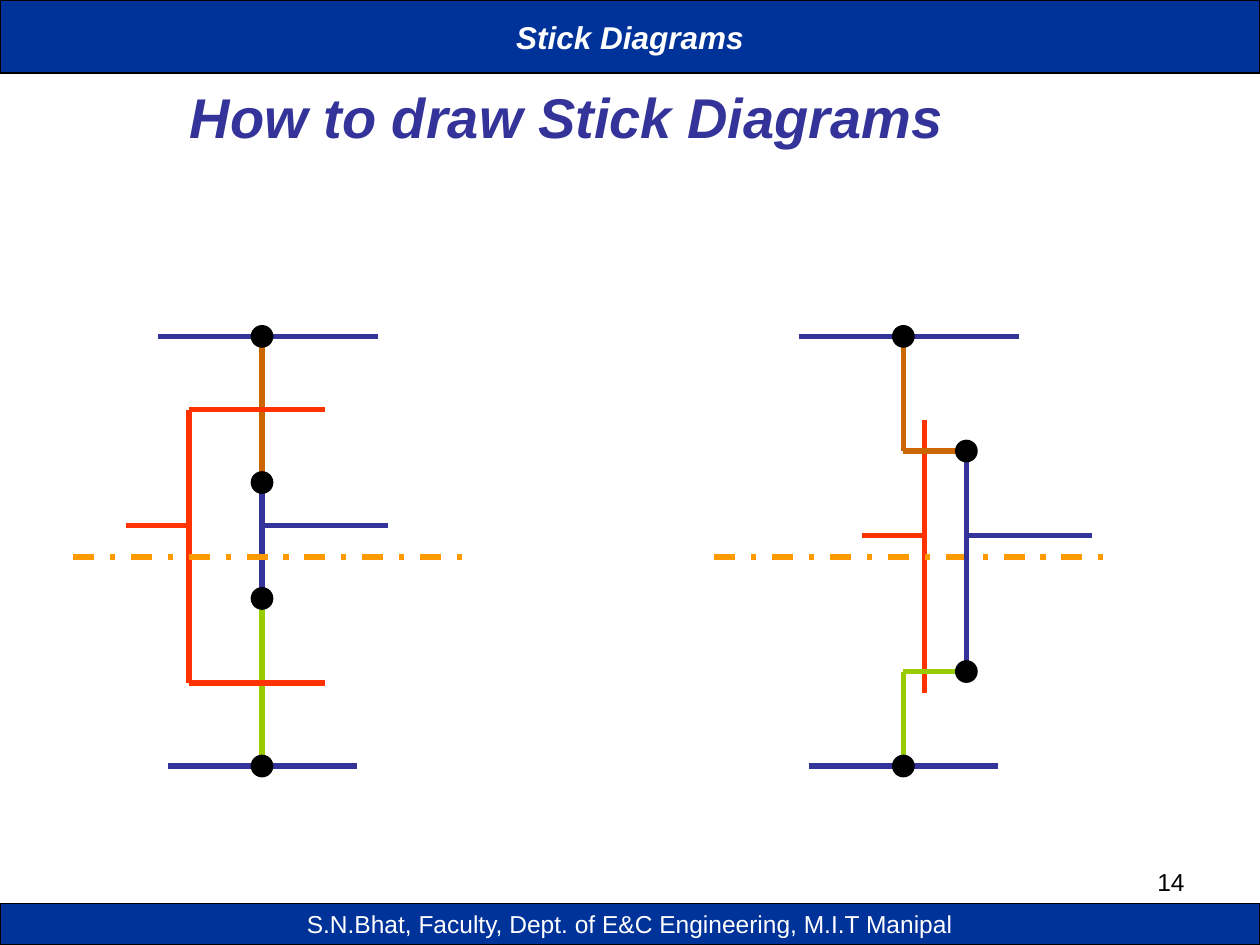
"""Build the stick diagram slide."""
from pptx import Presentation
from pptx.dml.color import RGBColor
from pptx.enum.dml import MSO_LINE
from pptx.enum.shapes import MSO_CONNECTOR, MSO_SHAPE
from pptx.enum.text import MSO_ANCHOR, PP_ALIGN
from pptx.oxml.ns import qn
from pptx.util import Inches, Pt
from lxml import etree

DASH = MSO_LINE.DASH_DOT
LINE = MSO_CONNECTOR.STRAIGHT
RECT, OVAL = MSO_SHAPE.RECTANGLE, MSO_SHAPE.OVAL
MID, TOP = MSO_ANCHOR.MIDDLE, MSO_ANCHOR.TOP
CENTER, RIGHT = PP_ALIGN.CENTER, PP_ALIGN.RIGHT

COLORS = {
    "metal": "333399", "pdiff": "CC6600", "ndiff": "99CC00",
    "poly": "FF3300", "well": "FF9900", "bar": "003399",
    "white": "FFFFFF", "black": "000000",
}
VDD, GND, WELL = 2.67, 6.08, 4.42
DOT = 0.17

BARS = [
    ("Stick Diagrams", 0, 0.58, {"size": 18, "bold": True, "italic": True}),
    ("S.N.Bhat, Faculty, Dept. of E&C Engineering, M.I.T Manipal",
     7.17, 0.33, {"size": 14}),
]
RAILS = [
    ("metal", -0.83, VDD, 0.92, VDD),
    ("metal", -0.75, GND, 0.75, GND),
]
EDGE = ("well", -1.5, WELL, 1.67, WELL)

# Each cell: axis position, wires and contacts relative to that axis.
CELLS = [
    {"axis": 2.08,
     "wires": [
         ("pdiff", 0, VDD, 0, 3.83),
         ("ndiff", 0, 4.75, 0, GND),
         ("metal", 0, 3.83, 0, 4.75),
         ("poly", -0.58, 3.25, 0.5, 3.25),
         ("poly", -0.58, 5.42, 0.5, 5.42),
         ("poly", -0.58, 3.25, -0.58, 5.42),
         ("poly", -1.08, 4.17, -0.58, 4.17),
         EDGE,
         ("metal", 0, 4.17, 1, 4.17)],
     "dots": [(0, VDD), (0, 3.83), (0, 4.75), (0, GND)]},
    {"axis": 7.17,
     "wires": [
         ("ndiff", 0, 5.33, 0, GND),
         ("pdiff", 0, VDD, 0, 3.58),
         ("poly", 0.17, 3.33, 0.17, 5.5),
         ("poly", -0.33, 4.25, 0.17, 4.25),
         EDGE,
         ("ndiff", 0, 5.33, 0.5, 5.33),
         ("pdiff", 0, 3.58, 0.5, 3.58),
         ("metal", 0.5, 3.58, 0.5, 5.33),
         ("metal", 0.5, 4.25, 1.5, 4.25)],
     "dots": [(0, VDD), (0.5, 3.58), (0.5, 5.33), (0, GND)]},
]


def rgb(name):
    return RGBColor.from_string(COLORS[name])


def write(shape, text, size=14, color="black", bold=False, italic=False,
          align=CENTER, anchor=MID, wrap=True):
    frame = shape.text_frame
    frame.word_wrap = wrap
    frame.vertical_anchor = anchor
    para = frame.paragraphs[0]
    para.alignment = align
    run = para.add_run()
    run.text = text
    font = run.font
    font.name, font.size = "Arial", Pt(size)
    font.bold, font.italic = bold, italic
    font.color.rgb = rgb(color)


def label(text, box, **form):
    write(slide.shapes.add_textbox(*map(Inches, box)), text, **form)


def solid(kind, box, fill):
    shape = slide.shapes.add_shape(kind, *map(Inches, box))
    shape.shadow.inherit = False
    shape.fill.solid()
    shape.fill.fore_color.rgb = rgb(fill)
    shape.line.color.rgb = rgb("black")
    shape.line.width = Pt(0.75)
    return shape


def wire(axis, layer, x1, y1, x2, y2):
    ends = (axis + x1, y1, axis + x2, y2)
    line = slide.shapes.add_connector(LINE, *map(Inches, ends))
    line.line.color.rgb = rgb(layer)
    line.line.width = Pt(3)
    if layer == "well":
        line.line.dash_style = DASH
    etree.SubElement(line._element.spPr, qn("a:effectLst"))


deck = Presentation()
deck.slide_width, deck.slide_height = Inches(10), Inches(7.5)
slide = deck.slides.add_slide(deck.slide_layouts[6])

label("How to draw Stick Diagrams", (0, 0.3, 9, 1.25), size=32,
      color="metal", bold=True, italic=True)
for text, top, high, form in BARS:
    bar = solid(RECT, (0, top, 10, high), "bar")
    write(bar, text, color="white", wrap=False, **form)
for cell in CELLS:
    axis = cell["axis"]
    for part in RAILS + cell["wires"]:
        wire(axis, *part)
    for x, y in cell["dots"]:
        solid(OVAL, (axis + x - DOT / 2, y - DOT / 2, DOT, DOT), "black")
label("14", (7.17, 6.83, 2.33, 0.52), align=RIGHT, anchor=TOP)

deck.save("out.pptx")
